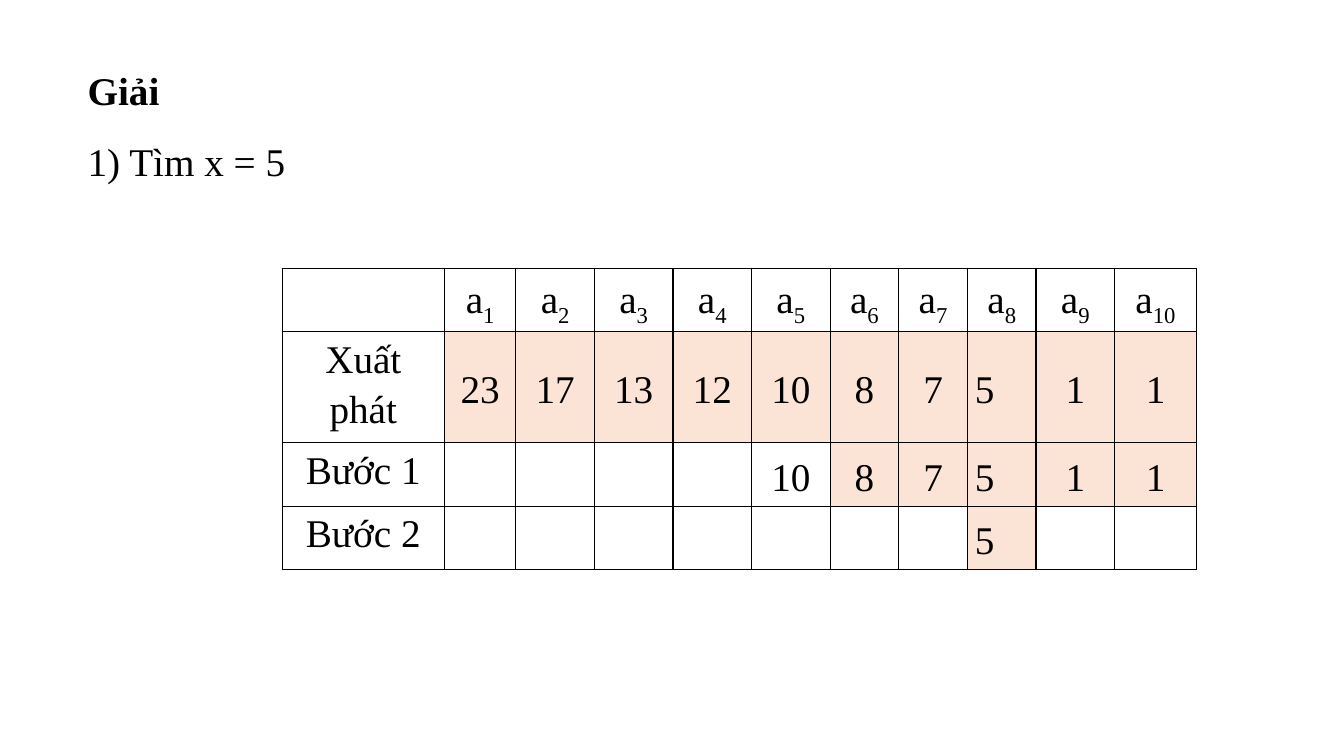
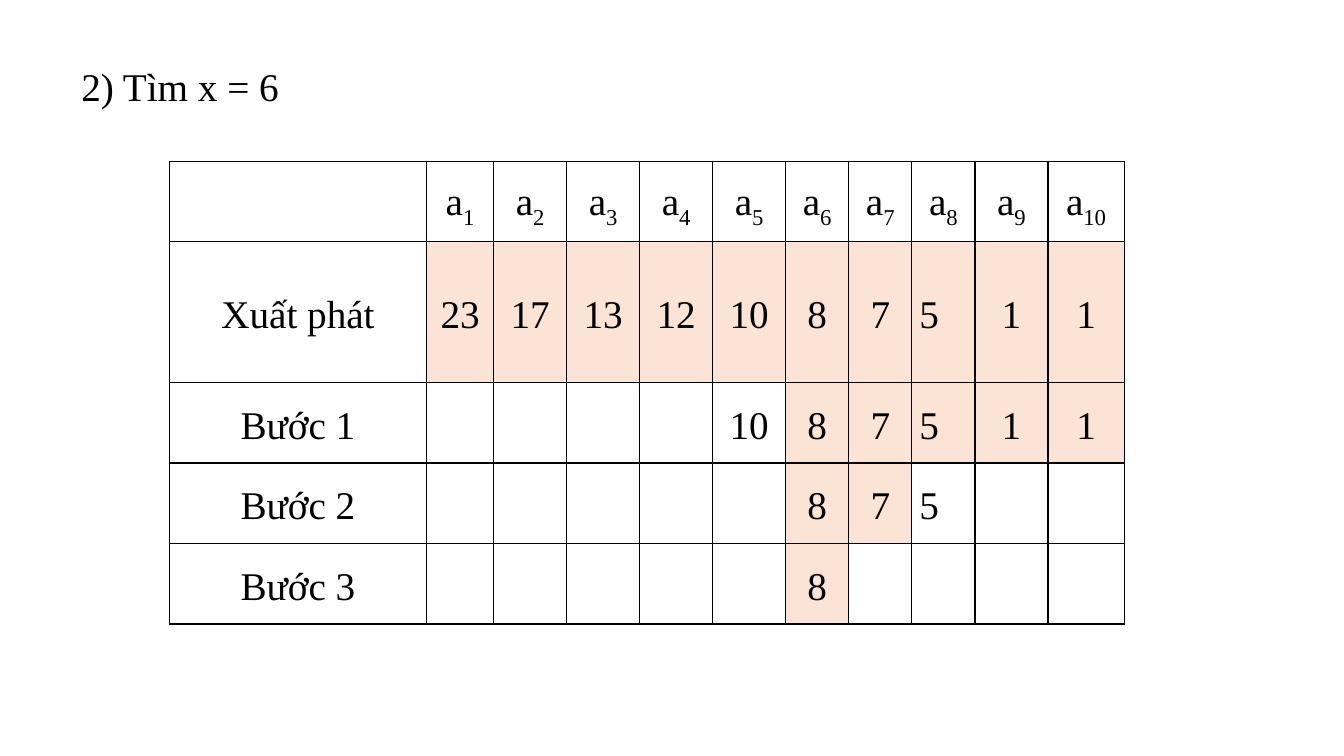
"""Builds two slides that trace a binary search through a sorted list."""
from lxml import etree
from pptx import Presentation
from pptx import util as u
from pptx.dml.color import RGBColor
from pptx.enum import text
from pptx.oxml import ns

INK = RGBColor(0x00, 0x00, 0x00)
SHADE = RGBColor(0xFB, 0xE4, 0xD5)
FONT = "Times New Roman"
SIZE = u.Pt(28)
LEFT, CENTER, JUSTIFY = text.PP_ALIGN.LEFT, text.PP_ALIGN.CENTER, text.PP_ALIGN.JUSTIFY
TOP, MIDDLE = text.MSO_ANCHOR.TOP, text.MSO_ANCHOR.MIDDLE

VALUES = [23, 17, 13, 12, 10, 8, 7, 5, 1, 1]
LEFT_COLUMN = 8
START = ("Xuất phát", range(1, 11), range(1, 11))
STEP_1 = ("Bước 1", range(5, 11), range(6, 11))

SLIDES = [
    {
        "lines": [("Giải", True), ("1) Tìm x = 5", False)],
        "box": (1.96, 1.37, 16.94, 3.33),
        "wrap": True,
        "corner": (7.11, 6.76),
        "columns": [4.09, 1.8] + [1.98] * 4 + [1.73] * 3 + [1.98, 2.06],
        "rows": [1.6, 2.8, 1.6, 1.6],
        "label_anchor": TOP,
        "steps": [START, STEP_1, ("Bước 2", range(8, 9), range(8, 9))],
    },
    {
        "lines": [("2) Tìm x = 6", False)],
        "box": (1.8, 1.27, 5.54, 1.52),
        "wrap": False,
        "corner": (4.27, 4.06),
        "columns": [6.48, 1.69] + [1.84] * 4 + [1.59] * 3 + [1.84, 1.92],
        "rows": [2.03, 3.55, 2.03, 2.03, 2.03],
        "label_anchor": MIDDLE,
        "steps": [
            START,
            STEP_1,
            ("Bước 2", range(6, 9), range(6, 8)),
            ("Bước 3", range(6, 7), range(6, 7)),
        ],
    },
]


def add_span(para, words, bold=False, subscript=False):
    span = para.add_run()
    span.text = words
    span.font.name, span.font.size, span.font.bold = FONT, SIZE, bold
    span.font.color.rgb = INK
    if subscript:
        span.font._element.set("baseline", "-25000")


def format_para(para, align):
    para.alignment = align
    para.line_spacing = 1.15
    para.space_before = para.space_after = u.Pt(6)


def draw_borders(cell):
    properties = cell._tc.get_or_add_tcPr()
    for position, side in enumerate(("lnL", "lnR", "lnT", "lnB")):
        line = etree.Element(ns.qn("a:" + side), w=str(u.Pt(1)))
        fill = etree.SubElement(line, ns.qn("a:solidFill"))
        etree.SubElement(fill, ns.qn("a:srgbClr"), val=str(INK))
        properties.insert(position, line)


def fill_cell(cell, words="", subscript="", align=CENTER, anchor=MIDDLE, shaded=False):
    cell.margin_left = cell.margin_right = u.Cm(0.19)
    cell.margin_top = cell.margin_bottom = 0
    cell.vertical_anchor = anchor
    if shaded:
        cell.fill.solid()
        cell.fill.fore_color.rgb = SHADE
    else:
        cell.fill.background()
    draw_borders(cell)
    if words:
        para = cell.text_frame.paragraphs[0]
        format_para(para, align)
        add_span(para, words)
        if subscript:
            add_span(para, subscript, subscript=True)


def add_heading(page, content):
    box = page.shapes.add_textbox(*map(u.Cm, content["box"]))
    frame = box.text_frame
    frame.word_wrap = content["wrap"]
    for index, (words, bold) in enumerate(content["lines"]):
        para = frame.add_paragraph() if index else frame.paragraphs[0]
        format_para(para, JUSTIFY)
        add_span(para, words, bold)


def add_trace(page, content):
    columns, rows = content["columns"], content["rows"]
    lengths = (*content["corner"], sum(columns), sum(rows))
    table = page.shapes.add_table(len(rows), len(columns), *map(u.Cm, lengths)).table
    table.first_row = table.horz_banding = False
    for column, width in zip(table.columns, columns):
        column.width = u.Cm(width)
    for row, height in zip(table.rows, rows):
        row.height = u.Cm(height)

    fill_cell(table.cell(0, 0))
    for number in range(1, len(columns)):
        fill_cell(table.cell(0, number), "a", str(number))
    for row, (label, shown, shaded) in enumerate(content["steps"], 1):
        fill_cell(table.cell(row, 0), label, anchor=content["label_anchor"])
        for number, value in enumerate(VALUES, 1):
            fill_cell(
                table.cell(row, number),
                str(value) if number in shown else "",
                align=LEFT if number == LEFT_COLUMN else CENTER,
                shaded=number in shaded,
            )


def main():
    deck = Presentation()
    deck.slide_width, deck.slide_height = u.Cm(33.87), u.Cm(19.05)
    for content in SLIDES:
        page = deck.slides.add_slide(deck.slide_layouts[6])
        add_heading(page, content)
        add_trace(page, content)
    deck.save("out.pptx")


if __name__ == "__main__":
    main()
